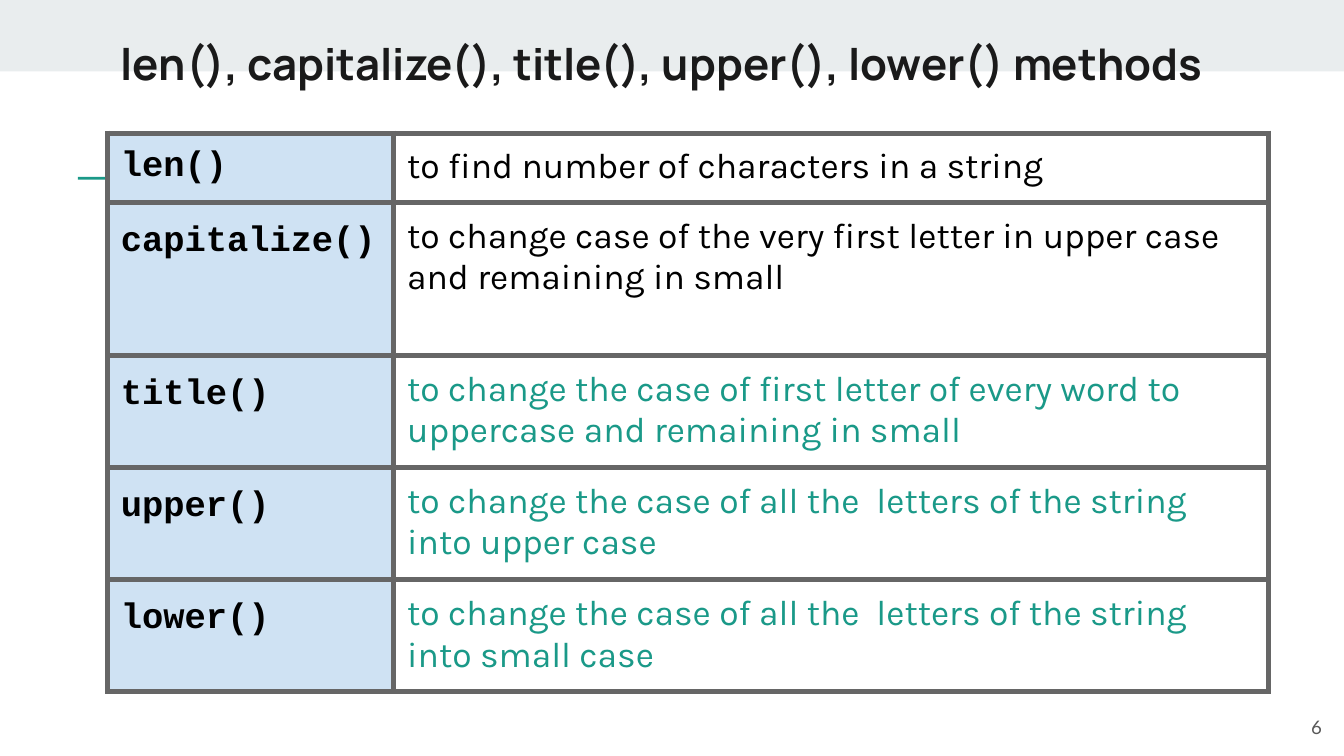
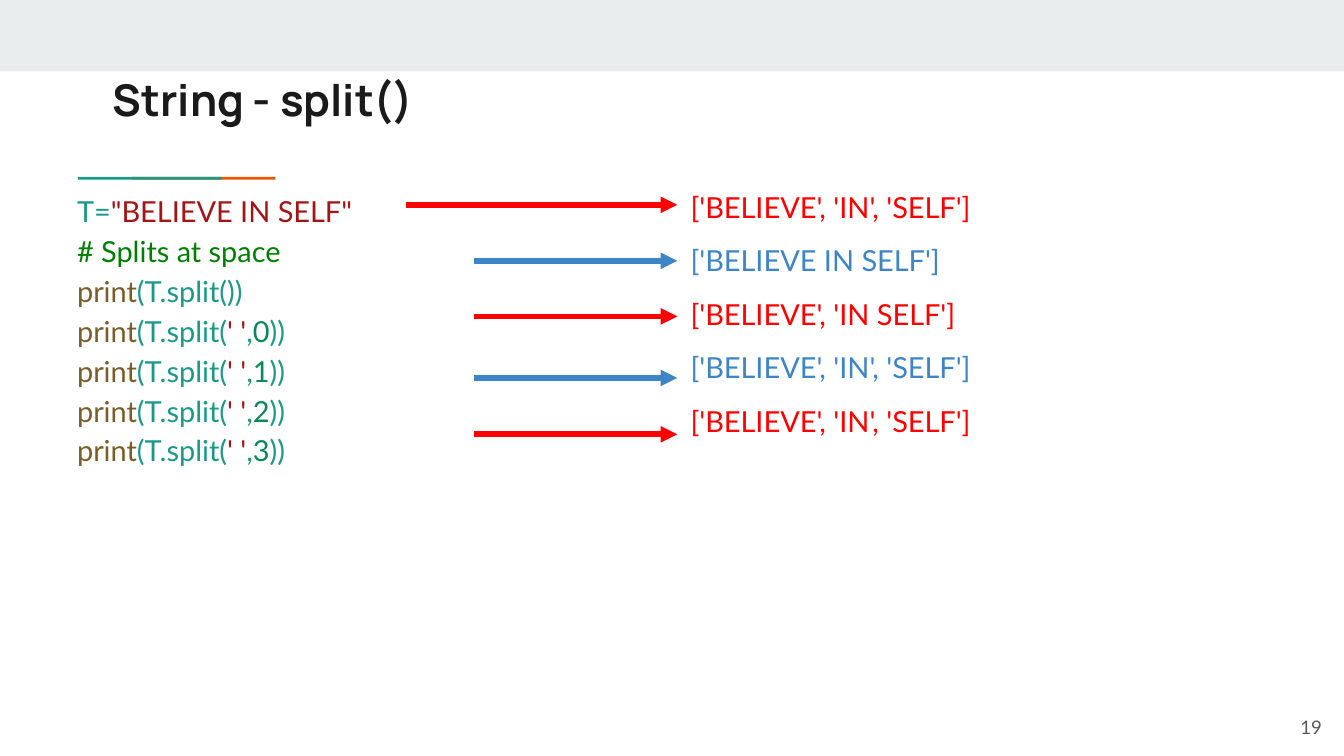
"""Build two slides on Python string methods."""
from dataclasses import dataclass
from typing import NamedTuple

from lxml.etree import SubElement
from pptx import Presentation
from pptx.dml.color import RGBColor
from pptx.enum.shapes import MSO_CONNECTOR, MSO_SHAPE
from pptx.enum.text import MSO_ANCHOR, PP_ALIGN
from pptx.oxml import parse_xml
from pptx.oxml.ns import nsdecls, qn
from pptx.slide import Slide
from pptx.table import _Cell
from pptx.text.text import TextFrame
from pptx.util import Inches, Pt

WIDE = Inches(10)
HIGH = WIDE * 9 // 16
COLS = ROWS = 100

WHITE = RGBColor(0xFF, 0xFF, 0xFF)
BLACK = RGBColor(0x00, 0x00, 0x00)
INK = RGBColor(0x1A, 0x1A, 0x1A)
GRAY = RGBColor(0x59, 0x59, 0x59)
EDGE = RGBColor(0x66, 0x66, 0x66)
BAND = RGBColor(0xE9, 0xED, 0xEE)
TEAL = RGBColor(0x1A, 0x99, 0x88)
ORANGE = RGBColor(0xEB, 0x56, 0x00)
PALE = RGBColor(0xCF, 0xE2, 0xF3)
RED = RGBColor(0xFF, 0x00, 0x00)
BLUE = RGBColor(0x3D, 0x85, 0xC6)
QUOTE = RGBColor(0xA3, 0x15, 0x15)
GREEN = RGBColor(0x00, 0x80, 0x00)
BROWN = RGBColor(0x79, 0x5E, 0x26)
DIGIT = RGBColor(0x09, 0x88, 0x5A)


class Box(NamedTuple):
    """A place on the grid, in columns and rows."""
    left: float
    top: float
    width: float
    height: float


class Span(NamedTuple):
    """A piece of text in one colour."""
    text: str
    color: RGBColor


@dataclass(frozen=True)
class Style:
    """The look of a block of text."""
    font: str
    size: float
    bold: bool = False
    lead: float = 1.0
    before: float = 0
    after: float = 0
    align: PP_ALIGN = PP_ALIGN.LEFT


@dataclass(frozen=True)
class Method:
    """One row of the methods table."""
    name: str
    use: str
    color: RGBColor
    height: float
    style: Style


@dataclass(frozen=True)
class Arrow:
    """A level arrow that ends at the results."""
    start: float
    row: float
    color: RGBColor


TITLE = Style("Manrope", 23.4, bold=True)
NUMBER = Style("Lato", 10, align=PP_ALIGN.RIGHT)
FIRST = Style("Courier New", 19, bold=True)
NAME = Style("Courier New", 19, bold=True, lead=1.15, after=16)
USE = Style("Karla", 19)
CODE = Style("Lato", 15.5, lead=1.15)
RESULT = Style("Lato", 15.5, before=10)

METHODS = [
    Method("len()", "to find number of characters in a string",
           BLACK, 9.05, FIRST),
    Method("capitalize()", "to change case of the very first letter in upper "
           "case and remaining in small", BLACK, 20.25, NAME),
    Method("title()", "to change the case of first letter of every word to "
           "uppercase and remaining in small", TEAL, 14.55, NAME),
    Method("upper()", "to change the case of all the  letters of the string "
           "into upper case", TEAL, 14.55, NAME),
    Method("lower()", "to change the case of all the  letters of the string "
           "into small case", TEAL, 14.55, NAME),
]
SPLITS = [
    "['BELIEVE', 'IN', 'SELF']",
    "['BELIEVE IN SELF']",
    "['BELIEVE', 'IN SELF']",
    "['BELIEVE', 'IN', 'SELF']",
    "['BELIEVE', 'IN', 'SELF']",
]
TINTS = [RED, BLUE, RED, BLUE, RED]
STARTS = [30.2] + [35.3] * 4
LEVELS = [27.1, 34.5, 41.85, 50, 57.45]
ARROWS = [Arrow(*item) for item in zip(STARTS, LEVELS, TINTS)]
TARGET = 50.4


def across(cols: float) -> int:
    """Turn grid columns into a length."""
    return round(WIDE * cols / COLS)


def down(rows: float) -> int:
    """Turn grid rows into a length."""
    return round(HIGH * rows / ROWS)


def place(box: Box) -> tuple[int, int, int, int]:
    """Turn a grid box into lengths."""
    return (across(box.left), down(box.top),
            across(box.width), down(box.height))


def write(frame: TextFrame, lines: list[list[Span]], style: Style) -> None:
    """Fill a frame with coloured lines."""
    frame.word_wrap = True
    for rank, line in enumerate(lines):
        para = frame.add_paragraph() if rank else frame.paragraphs[0]
        para.alignment = style.align
        para.line_spacing = style.lead
        para.space_before = Pt(style.before if rank else 0)
        para.space_after = Pt(style.after)
        for span in line:
            run = para.add_run()
            run.text = span.text
            run.font.name = style.font
            run.font.size = Pt(style.size)
            run.font.bold = style.bold
            run.font.color.rgb = span.color


def add_text(slide: Slide, box: Box, lines: list[list[Span]],
             style: Style) -> TextFrame:
    """Add a text box with even margins."""
    frame = slide.shapes.add_textbox(*place(box)).text_frame
    frame.margin_left = frame.margin_right = Inches(0.1)
    frame.margin_top = frame.margin_bottom = Inches(0.1)
    write(frame, lines, style)
    return frame


def add_bar(slide: Slide, box: Box, color: RGBColor) -> None:
    """Add a plain filled bar."""
    bar = slide.shapes.add_shape(MSO_SHAPE.RECTANGLE, *place(box))
    bar.shadow.inherit = False
    bar.fill.solid()
    bar.fill.fore_color.rgb = color
    bar.line.fill.background()


def add_base(deck: Presentation, title: str, spot: Box, page: int) -> Slide:
    """Add a slide with band, rule, title and number."""
    slide = deck.slides.add_slide(deck.slide_layouts[6])
    slide.background.fill.solid()
    slide.background.fill.fore_color.rgb = WHITE
    add_bar(slide, Box(0, 0, COLS, 9.45), BAND)
    for left, color in ((9.8, ORANGE), (5.8, TEAL)):
        add_bar(slide, Box(left, 23.4, 10.7, 0.36), color)
    add_text(slide, spot, [[Span(title, INK)]], TITLE)
    foot = add_text(slide, Box(93.35, 92.35, 6, 7.65),
                    [[Span(str(page), GRAY)]], NUMBER)
    foot.vertical_anchor = MSO_ANCHOR.MIDDLE
    return slide


def add_edge(cell: _Cell) -> None:
    """Draw the four borders of a cell."""
    props = cell._tc.get_or_add_tcPr()
    for rank, side in enumerate("LRTB"):
        props.insert(rank, parse_xml(
            f'<a:ln{side} {nsdecls("a")} w="{Pt(3)}"><a:solidFill>'
            f'<a:srgbClr val="{EDGE}"/></a:solidFill></a:ln{side}>'))


def add_cell(cell: _Cell, span: Span, style: Style, fill: RGBColor) -> None:
    """Fill in one table cell."""
    cell.fill.solid()
    cell.fill.fore_color.rgb = fill
    cell.margin_left = cell.margin_right = Inches(0.1)
    cell.margin_top = cell.margin_bottom = Inches(0.1)
    write(cell.text_frame, [[span]], style)
    add_edge(cell)


def add_methods(slide: Slide) -> None:
    """Add the table of methods."""
    widths = (21.3, 65.1)
    box = Box(8, 17.6, 32.8, 58.3)
    holder = slide.shapes.add_table(len(METHODS), 2, *place(box))
    table = holder.table
    table.first_row = table.horz_banding = False
    for col, width in zip(table.columns, widths):
        col.width = across(width)
    for rank, item in enumerate(METHODS):
        table.rows[rank].height = down(item.height)
        add_cell(table.cell(rank, 0), Span(item.name, BLACK), item.style, PALE)
        add_cell(table.cell(rank, 1), Span(item.use, item.color), USE, WHITE)
    holder.width, holder.height = across(box.width), down(box.height)


def add_arrow(slide: Slide, arrow: Arrow) -> None:
    """Add one arrow to the results."""
    level = down(arrow.row)
    link = slide.shapes.add_connector(
        MSO_CONNECTOR.STRAIGHT, across(arrow.start), level,
        across(TARGET), level)
    link.line.color.rgb = arrow.color
    link.line.width = Pt(3)
    SubElement(link.line._get_or_add_ln(), qn("a:tailEnd"), type="triangle")
    SubElement(link._element.spPr, qn("a:effectLst"))


def call(count: int) -> list[Span]:
    """Give the coloured code of one split call."""
    return [Span("print", BROWN), Span("(T.split(", TEAL), Span("' '", QUOTE),
            Span(",", TEAL), Span(str(count), DIGIT), Span("))", TEAL)]


def add_split(slide: Slide) -> None:
    """Add the code, its results and the arrows."""
    code = [
        [Span("T=", TEAL), Span('"BELIEVE IN SELF"', QUOTE)],
        [Span("# Splits at space", GREEN)],
        [Span("print", BROWN), Span("(T.split())", TEAL)],
        *map(call, range(4)),
    ]
    add_text(slide, Box(4.75, 23.15, 23.4, 37.5), code, CODE)
    results = [[Span(*pair)] for pair in zip(SPLITS, TINTS)]
    add_text(slide, Box(TARGET, 23.3, 33.3, 41.6), results, RESULT)
    for arrow in ARROWS:
        add_arrow(slide, arrow)


def main() -> None:
    """Build and save the deck."""
    deck = Presentation()
    deck.slide_width, deck.slide_height = WIDE, HIGH
    add_methods(add_base(
        deck, "len(), capitalize(), title(), upper(), lower() methods",
        Box(8, 3.1, 84.1, 10.5), 6))
    add_split(add_base(deck, "String - split()", Box(7.4, 7.9, 84.1, 10.5), 19))
    deck.save("out.pptx")


if __name__ == "__main__":
    main()
